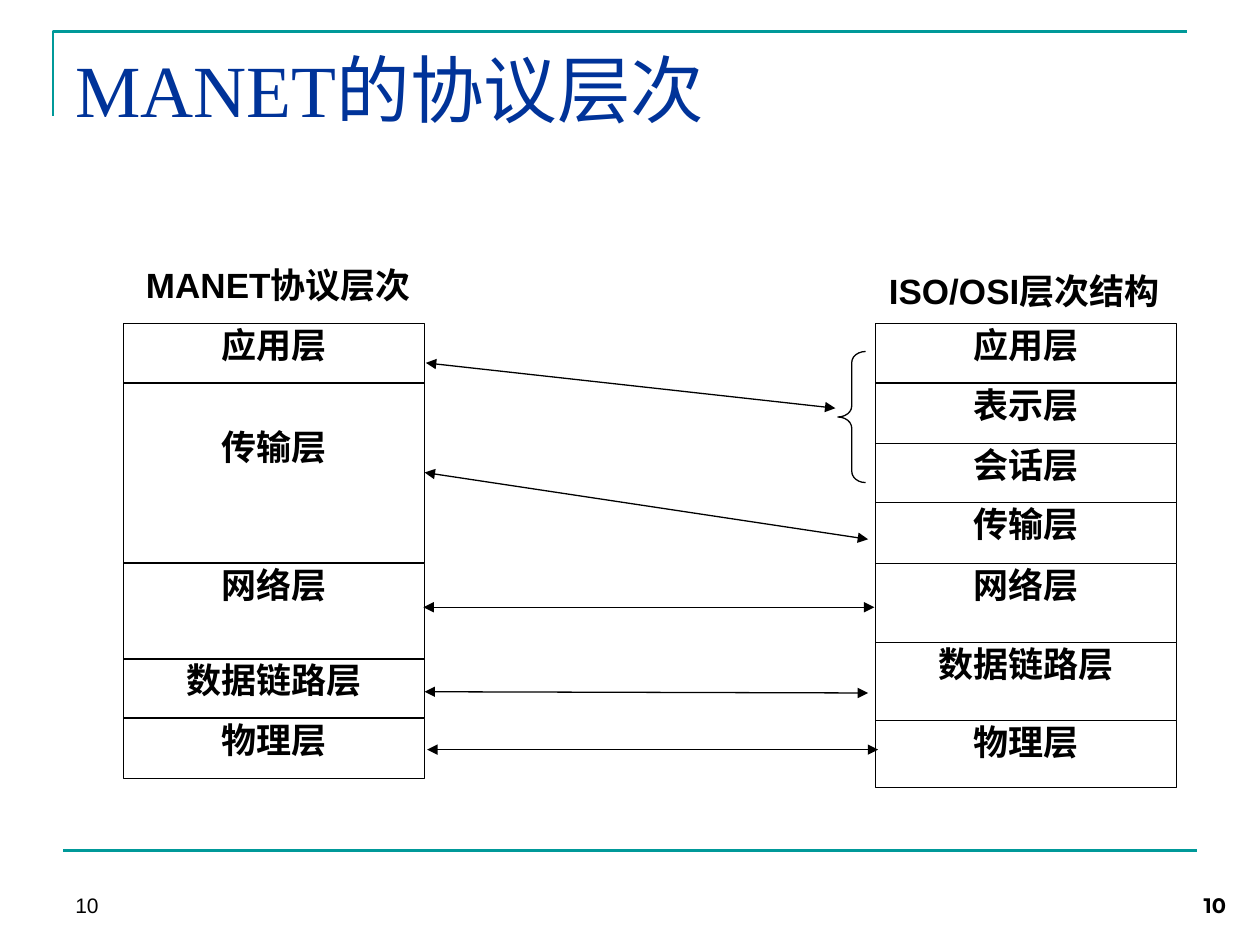
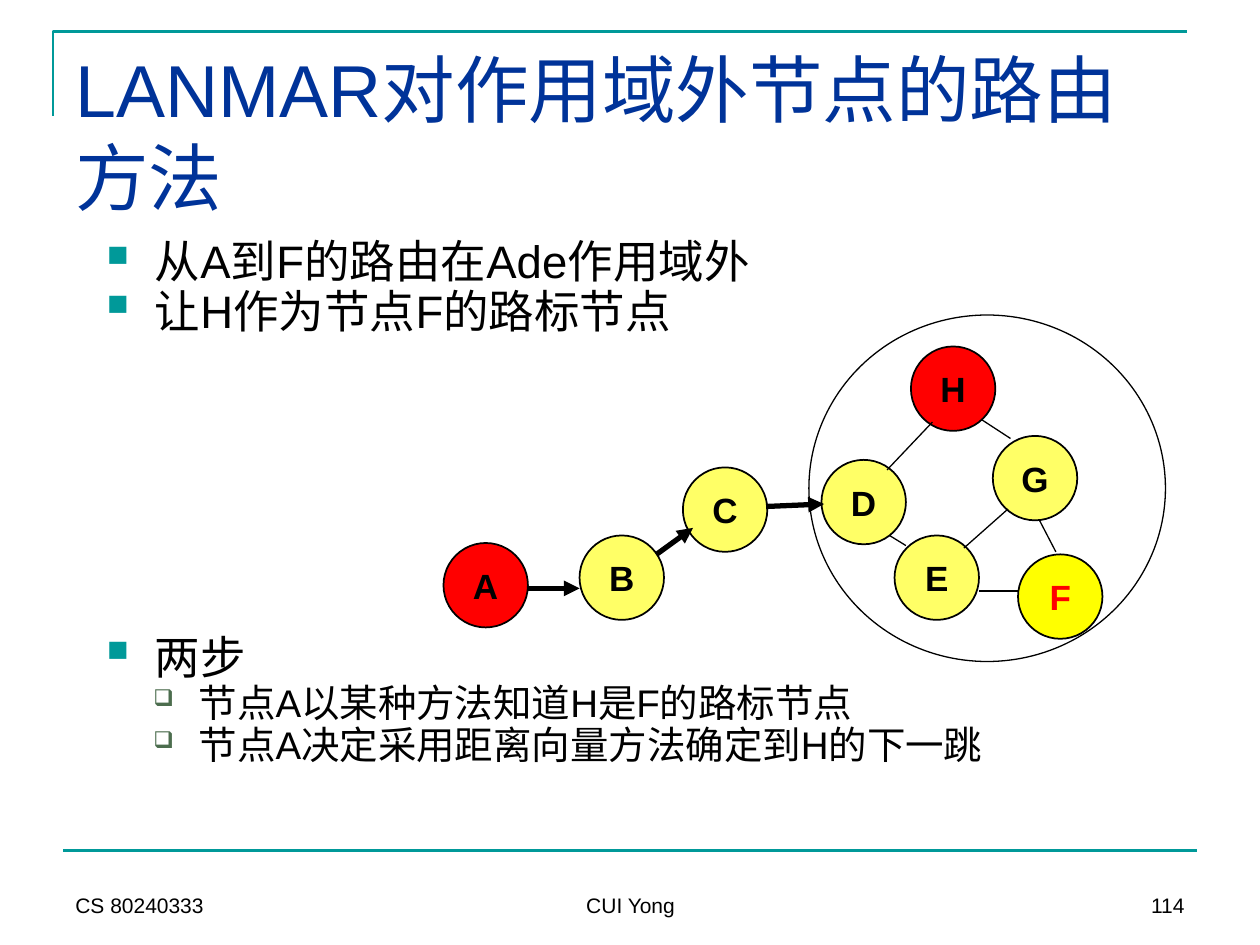
from itertools import pairwise

from lxml.etree import SubElement
from pptx import Presentation
from pptx.dml.color import RGBColor
from pptx.enum.shapes import MSO_CONNECTOR, MSO_SHAPE
from pptx.enum.text import MSO_ANCHOR, PP_ALIGN
from pptx.oxml.ns import qn
from pptx.util import Inches, Pt

TEAL, NAVY, BLACK, WHITE = "009999", "003399", "000000", "FFFFFF"
RED, PALE, YELLOW, GREEN = "FF0000", "FFFF66", "FFFF00", "4C6D4E"
LEFT, CENTER, RIGHT = PP_ALIGN.LEFT, PP_ALIGN.CENTER, PP_ALIGN.RIGHT
NODE = 0.67


def color(value):
    """Turn a hex string into a colour."""
    return RGBColor.from_string(value)


def style(p, size, font="Arial", ink=BLACK, bold=False, align=LEFT):
    """Format a paragraph and its runs."""
    p.alignment = align
    for r in p.runs:
        r.font.size, r.font.name, r.font.bold = Pt(size), font, bold
        r.font.color.rgb = color(ink)


def text_box(s, box, text, size, anchor=MSO_ANCHOR.TOP, inset=None, **look):
    """Add a wrapped text box with one formatted paragraph."""
    tf = s.shapes.add_textbox(*map(Inches, box)).text_frame
    tf.word_wrap, tf.vertical_anchor = True, anchor
    if inset is not None:
        set_insets(tf, inset)
    tf.text = text
    style(tf.paragraphs[0], size, **look)
    return tf


def set_insets(tf, inset):
    """Give a text frame the same inset on all sides."""
    tf.margin_left = tf.margin_top = tf.margin_right = tf.margin_bottom = Inches(inset)


def add_shape(s, kind, box, fill=None, width=0.75):
    """Add a black-outlined preset shape."""
    sp = s.shapes.add_shape(kind, *map(Inches, box))
    sp.shadow.inherit = False
    if fill:
        sp.fill.solid()
        sp.fill.fore_color.rgb = color(fill)
    else:
        sp.fill.background()
    sp.line.color.rgb, sp.line.width = color(BLACK), Pt(width)
    return sp


def add_line(s, x1, y1, x2, y2, width=0.75, ink=BLACK, arrows=()):
    """Draw a straight line with arrowheads at the named ends."""
    c = s.shapes.add_connector(MSO_CONNECTOR.STRAIGHT, *map(Inches, (x1, y1, x2, y2)))
    c.line.color.rgb, c.line.width = color(ink), Pt(width)
    for end in arrows:
        SubElement(c.line._get_or_add_ln(), qn(f"a:{end}"), type="triangle")
    SubElement(c._element.spPr, qn("a:effectLst"))


def add_frame(prs, title, font, footers):
    """Start a slide with the teal rules, title and footers."""
    s = prs.slides.add_slide(prs.slide_layouts[6])
    fb = s.shapes.build_freeform(Inches(0.42), Inches(0.92))
    fb.add_line_segments([(Inches(0.42), Inches(0.25)), (Inches(9.42), Inches(0.25))], close=False)
    corner = fb.convert_to_shape()
    corner.shadow.inherit = False
    corner.fill.background()
    corner.line.color.rgb, corner.line.width = color(TEAL), Pt(1.5)
    add_line(s, 0.5, 6.75, 9.5, 6.75, 1.5, TEAL)
    for text, x, w, look in footers:
        text_box(s, (x, 6.83, w, 0.5), text, 12, MSO_ANCHOR.BOTTOM, **look)
    text_box(s, (0.5, 0.3, 9, 1.25), title, 42, font=font, ink=NAVY)
    return s


def add_stack(s, x, y, w, edges, layers, lowered=()):
    """Stack protocol layers between the given edges."""
    for (top, bottom), layer in zip(pairwise(edges), layers):
        sp = add_shape(s, MSO_SHAPE.RECTANGLE, (x, y + top, w, bottom - top), WHITE)
        tf = sp.text_frame
        tf.word_wrap, tf.vertical_anchor = True, MSO_ANCHOR.TOP
        set_insets(tf, 0)
        if layer in lowered:
            tf.margin_top = Inches(0.34)
        tf.text = layer
        style(tf.paragraphs[0], 20, bold=True, align=CENTER)


def add_layer_mapping(s, x, y):
    """Compare the two protocol stacks and link matching layers."""
    add_stack(s, x, y + 0.48, 2.39, (0, 0.47, 1.9, 2.66, 3.13, 3.61),
              ("应用层", "传输层", "网络层", "数据链路层", "物理层"), ("传输层",))
    add_stack(s, x + 5.97, y + 0.48, 2.39, (0, 0.47, 0.95, 1.42, 1.9, 2.53, 3.15, 3.68),
              ("应用层", "表示层", "会话层", "传输层", "网络层", "数据链路层", "物理层"))
    for text, dx, dy, w in (("MANET协议层次", 0.06, 0, 2.34), ("ISO/OSI层次结构", 6.02, 0.05, 2.26)):
        text_box(s, (x + dx, y + dy, w, 0.47), text, 20, inset=0, bold=True, align=CENTER)
    for x1, y1, x2, y2 in ((2.4, 0.79, 5.65, 1.15), (2.39, 1.66, 5.91, 2.19), (2.38, 2.73, 5.96, 2.73),
                           (2.39, 3.4, 5.91, 3.41), (2.41, 3.86, 5.99, 3.86)):
        add_line(s, x + x1, y + y1, x + x2, y + y2, arrows=("headEnd", "tailEnd"))
    brace = add_shape(s, MSO_SHAPE.LEFT_BRACE, (x + 5.67, y + 0.7, 0.22, 1.04))
    brace.adjustments[0] = 0.4


def add_bullets(s, box, items):
    """Write a two-level bulleted list."""
    tf = s.shapes.add_textbox(*map(Inches, box)).text_frame
    tf.word_wrap = True
    levels = ((26, 0.38, 0.38, "■", TEAL, 65), (22, 0.73, 0.36, "❑", GREEN, 60))
    for i, (level, before, text) in enumerate(items):
        size, margin, hang, mark, ink, percent = levels[level]
        p = tf.paragraphs[0] if i == 0 else tf.add_paragraph()
        p.text, p.level = text, level
        pPr = p._p.get_or_add_pPr()
        pPr.set("marL", str(Inches(margin)))
        pPr.set("indent", str(-Inches(hang)))
        SubElement(SubElement(pPr, qn("a:buClr")), qn("a:srgbClr"), val=ink)
        SubElement(pPr, qn("a:buSzPct"), val=str(percent * 1000))
        SubElement(pPr, qn("a:buChar"), char=mark)
        p.line_spacing, p.space_before = 0.7, Pt(before)
        style(p, size)


def add_network(s, x, y):
    """Draw the nodes, their links, the route and the landmark's scope."""
    nodes = (("A", 0, 1.81, RED), ("B", 1.08, 1.75, PALE), ("C", 1.9, 1.21, PALE), ("D", 3, 1.15, PALE),
             ("E", 3.58, 1.75, PALE), ("F", 4.56, 1.9, YELLOW), ("G", 4.36, 0.96, PALE), ("H", 3.71, 0.25, RED))
    for name, dx, dy, fill in nodes:
        sp = add_shape(s, MSO_SHAPE.OVAL, (x + dx, y + dy, NODE, NODE), fill, 1)
        tf = sp.text_frame
        tf.word_wrap, tf.vertical_anchor = False, MSO_ANCHOR.MIDDLE
        tf.text = name
        style(tf.paragraphs[0], 20, ink=RED if name == "F" else BLACK, bold=True, align=CENTER)
    links = ((4.27, 0.83, 4.5, 0.98), (4.73, 1.63, 4.86, 1.88), (3.88, 0.85, 3.52, 1.23),
             (3.54, 1.75, 3.67, 1.83), (4.25, 2.19, 4.56, 2.19), (4.13, 1.85, 4.48, 1.54))
    hops = ((0.67, 2.17, 1.08, 2.17), (1.69, 1.9, 1.98, 1.69), (2.56, 1.52, 3.02, 1.5))
    for lines, width, arrows in ((links, 0.75, ()), (hops, 3, ("tailEnd",))):
        for x1, y1, x2, y2 in lines:
            add_line(s, x + x1, y + y1, x + x2, y + y2, width, arrows=arrows)
    add_shape(s, MSO_SHAPE.OVAL, (x + 2.9, y, 2.83, 2.75))


def layers_slide(prs):
    """Build the protocol layer slide."""
    s = add_frame(prs, "MANET的协议层次", "Times New Roman", (
        ("10", 0.5, 2.33, {}),
        ("10", 7.5, 2.33, {"font": "Montserrat", "bold": True, "align": RIGHT})))
    add_layer_mapping(s, 0.98, 2.09)


def routing_slide(prs):
    """Build the landmark routing slide."""
    s = add_frame(prs, "LANMAR对作用域外节点的路由方法", "Arial", (
        ("CS 80240333", 0.5, 2.33, {}),
        ("CUI Yong", 3.42, 3.17, {"align": CENTER}),
        ("114", 7.17, 2.33, {"align": RIGHT})))
    add_bullets(s, (0.75, 1.92, 8.5, 5.11), (
        (0, 0, "从A到F的路由在Ade作用域外"),
        (0, 6.5, "让H作为节点F的路标节点"),
        (0, 176, "两步"),
        (1, 5.5, "节点A以某种方法知道H是F的路标节点"),
        (1, 5.5, "节点A决定采用距离向量方法确定到H的下一跳")))
    add_network(s, 3.52, 2.5)


def main():
    """Build and save the presentation."""
    prs = Presentation()
    prs.slide_width, prs.slide_height = Inches(10), Inches(7.5)
    layers_slide(prs)
    routing_slide(prs)
    prs.save("out.pptx")


if __name__ == "__main__":
    main()
